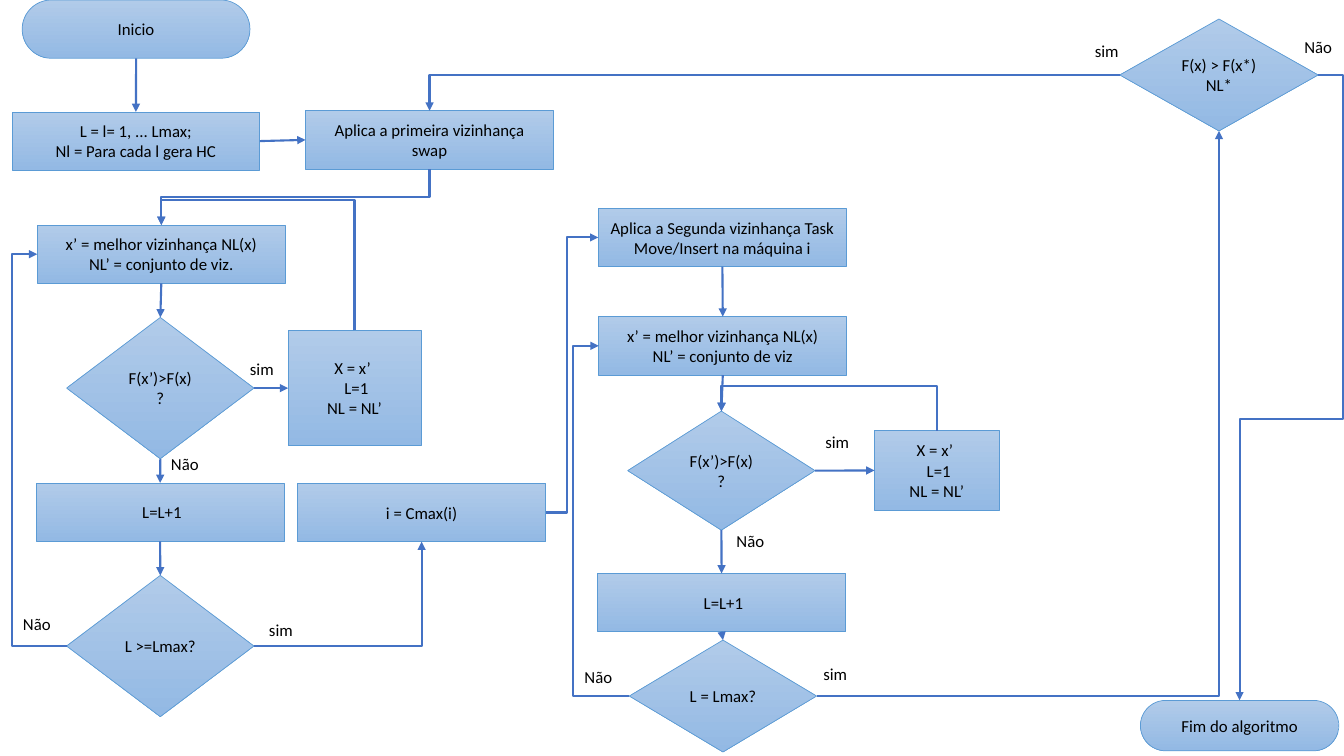
"""Build a flowchart slide of a variable neighbourhood search."""
from lxml.etree import SubElement
from pptx import Presentation
from pptx.dml.color import RGBColor
from pptx.enum.shapes import MSO_CONNECTOR as Connector, MSO_SHAPE as Shape
from pptx.enum.text import MSO_ANCHOR as Anchor, PP_ALIGN as Align
from pptx.oxml.ns import qn
from pptx.util import Cm, Pt


def color(code):
    """Turn a hex string into a colour."""
    return RGBColor.from_string(code)


def write(frame, text, *, align=Align.LEFT, anchor=Anchor.TOP, wrap=True, size=12, ink="000000"):
    """Fill a text frame, one paragraph per line of text."""
    frame.word_wrap = wrap
    frame.vertical_anchor = anchor
    for index, line in enumerate(text.split("\n")):
        para = frame.paragraphs[0] if index == 0 else frame.add_paragraph()
        para.alignment = align
        span = para.add_run()
        span.text = line
        span.font.name, span.font.size = "Calibri", Pt(size)
        span.font.color.rgb = color(ink)


deck = Presentation()
deck.slide_width, deck.slide_height = Cm(33.87), Cm(19.05)
page = deck.slides.add_slide(deck.slide_layouts[6])

STEP, CHOICE, TERMINAL = Shape.RECTANGLE, Shape.DIAMOND, Shape.ROUNDED_RECTANGLE
WIDE, HIGH, CHOICE_WIDE = 6.25, 1.47, 4.72
RESET = "X = x’ \n L=1\nNL = NL’"
BEST = "x’ = melhor vizinhança NL(x)\nNL’ = conjunto de viz"

nodes = {
    "start": (TERMINAL, 0.56, 0, 5.74, HIGH, "Inicio"),
    "init": (STEP, 0.3, 2.82, WIDE, HIGH, "L = l= 1, ... Lmax;\nNl = Para cada l gera HC"),
    "swap": (STEP, 7.7, 2.79, WIDE, HIGH, "Aplica a primeira vizinhança swap"),
    "best1": (STEP, 0.94, 5.67, WIDE, HIGH, BEST + "."),
    "test1": (CHOICE, 1.68, 8, CHOICE_WIDE, 3.56, "F(x’)>F(x) ?"),
    "reset1": (STEP, 7.26, 8.33, 3.35, 2.9, RESET),
    "next1": (STEP, 0.91, 12.17, WIDE, HIGH, " L=L+1"),
    "limit1": (CHOICE, 1.68, 14.5, CHOICE_WIDE, 3.56, "L >=Lmax?"),
    "machine": (STEP, 7.5, 12.18, WIDE, HIGH, "i = Cmax(i)"),
    "insert": (STEP, 15.08, 5.25, WIDE, HIGH,
               "Aplica a Segunda vizinhança Task Move/Insert na máquina i"),
    "best2": (STEP, 15.09, 7.98, WIDE, HIGH, BEST),
    "test2": (CHOICE, 15.82, 10.36, CHOICE_WIDE, 3, "F(x’)>F(x) ?"),
    "reset2": (STEP, 22.04, 10.85, 3.14, 2.01, RESET),
    "next2": (STEP, 15.06, 14.45, WIDE, HIGH, " L=L+1"),
    "limit2": (CHOICE, 15.86, 16.13, CHOICE_WIDE, 2.82, "L = Lmax?"),
    "better": (CHOICE, 28.22, 0.48, 5, 2.82, "F(x) > F(x*)\nNL*"),
    "end": (TERMINAL, 28.74, 17.65, 5, 1.27, "Fim do algoritmo"),
}
boxes = {}
for name, (kind, left, top, width, height, text) in nodes.items():
    box = page.shapes.add_shape(kind, Cm(left), Cm(top), Cm(width), Cm(height))
    if kind == TERMINAL:
        box.adjustments[0] = 0.5
    box.shadow.inherit = False
    box.fill.gradient()
    box.fill.gradient_angle = 270
    for stop, code in zip(box.fill.gradient_stops, ("B1CBE9", "93B9E4")):
        stop.color.rgb = color(code)
    box.line.color.rgb = color("5B9BD5")
    box.line.width = Pt(0.5)
    write(box.text_frame, text, align=Align.CENTER, anchor=Anchor.MIDDLE)
    boxes[name] = box

UP, LEFT, DOWN, RIGHT = range(4)
arrows = [
    ("start", DOWN, "init", UP), ("init", RIGHT, "swap", LEFT),
    ("best1", DOWN, "test1", UP), ("test1", RIGHT, "reset1", LEFT),
    ("test1", DOWN, "next1", UP), ("next1", DOWN, "limit1", UP),
    ("insert", DOWN, "best2", UP), ("best2", DOWN, "test2", UP),
    ("test2", RIGHT, "reset2", LEFT), ("test2", DOWN, "next2", UP),
    ("next2", DOWN, "limit2", UP),
]
elbows = [
    ("reset1", UP, "best1", UP, 270, "flipV", [1.24]),
    ("swap", DOWN, "best1", UP, 90, "", [0.5]),
    ("limit1", LEFT, "best1", LEFT, 180, "", [1.86]),
    ("limit1", RIGHT, "machine", DOWN, 0, "flipV", []),
    ("machine", RIGHT, "insert", LEFT, 0, "flipV", [0.4]),
    ("reset2", UP, "test2", UP, 270, "flipV", [2.28]),
    ("limit2", LEFT, "best2", LEFT, 180, "", [1.83]),
    ("limit2", RIGHT, "better", DOWN, 0, "flipV", []),
    ("better", LEFT, "swap", UP, 180, "flipV", []),
    ("better", RIGHT, "end", UP, 0, "flipH", [-0.32, 0.55]),
]
for source, leave, target, enter, *bend in arrows + elbows:
    route = Connector.ELBOW if bend else Connector.STRAIGHT
    arrow = page.shapes.add_connector(route, 0, 0, 0, 0)
    arrow.begin_connect(boxes[source], leave)
    arrow.end_connect(boxes[target], enter)
    arrow.line.color.rgb = color("4472C4")
    arrow.line.width = Pt(1.5)
    form = arrow._element.spPr
    SubElement(form.find(qn("a:ln")), qn("a:tailEnd"), type="triangle")
    SubElement(form, qn("a:effectLst"))
    if not bend:
        continue
    turn, flip, bends = bend
    if turn in (90, 270):
        shift = (arrow.width - arrow.height) // 2
        arrow.left, arrow.top = arrow.left + shift, arrow.top - shift
        arrow.width, arrow.height = arrow.height, arrow.width
    frame = form.find(qn("a:xfrm"))
    frame.set("rot", str(turn * 60000))
    for side in ("flipH", "flipV"):
        frame.set(side, str(int(side == flip)))
    outline = form.find(qn("a:prstGeom"))
    outline.set("prst", f"bentConnector{len(bends) + 2}")
    guides = outline.find(qn("a:avLst"))
    if guides is None:
        guides = SubElement(outline, qn("a:avLst"))
    for number, share in enumerate(bends, 1):
        SubElement(guides, qn("a:gd"), name=f"adj{number}", fmla=f"val {round(share * 100000)}")

labels = [
    ("sim", 6.05, 8.92), ("Não", 4.06, 11.3), ("Não", 0.33, 15.35), ("sim", 6.53, 15.5),
    ("sim", 20.55, 10.76), ("sim", 20.5, 16.6), ("Não", 18.31, 13.26), ("Não", 14.48, 16.67),
    ("Não", 32.62, 0.81), ("sim", 27.34, 0.89),
]
for text, left, top in labels:
    width = 1.12 if text == "sim" else 1.22
    box = page.shapes.add_textbox(Cm(left), Cm(top), Cm(width), Cm(0.77))
    write(box.text_frame, text, wrap=False)

deck.save("out.pptx")
